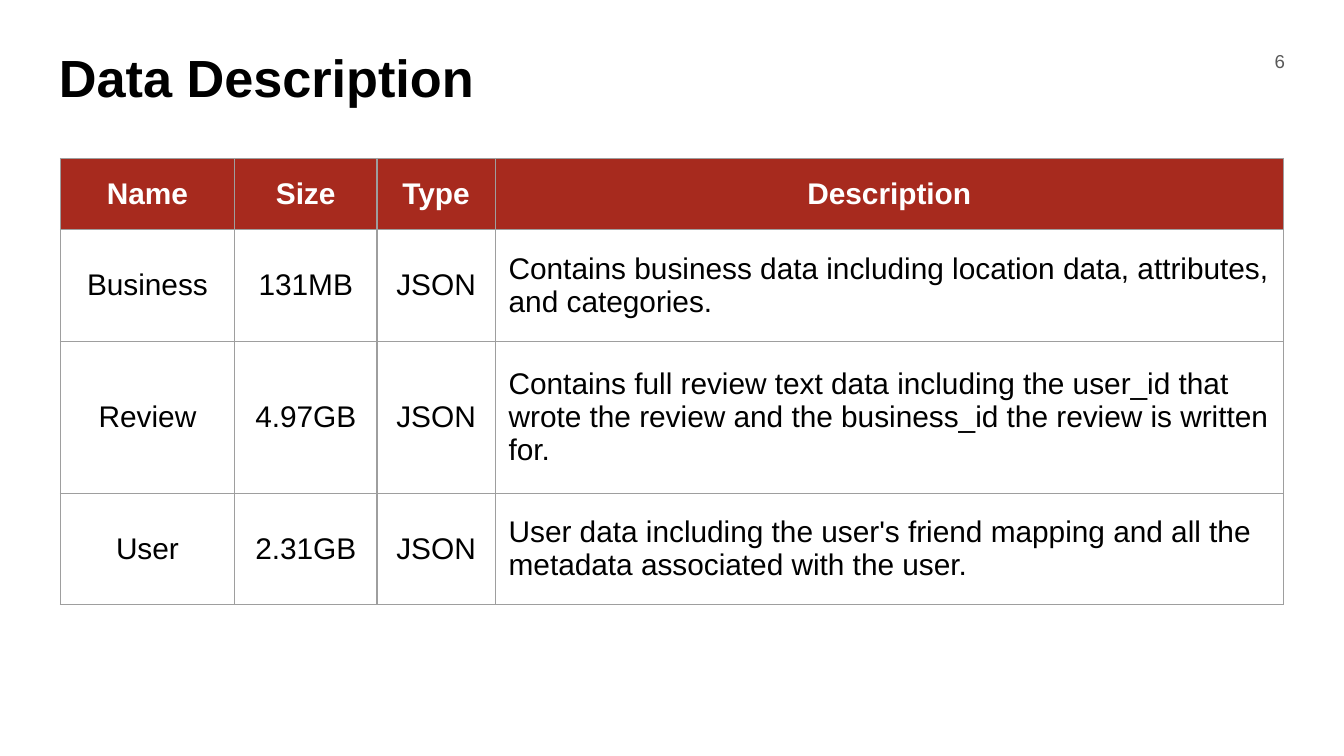
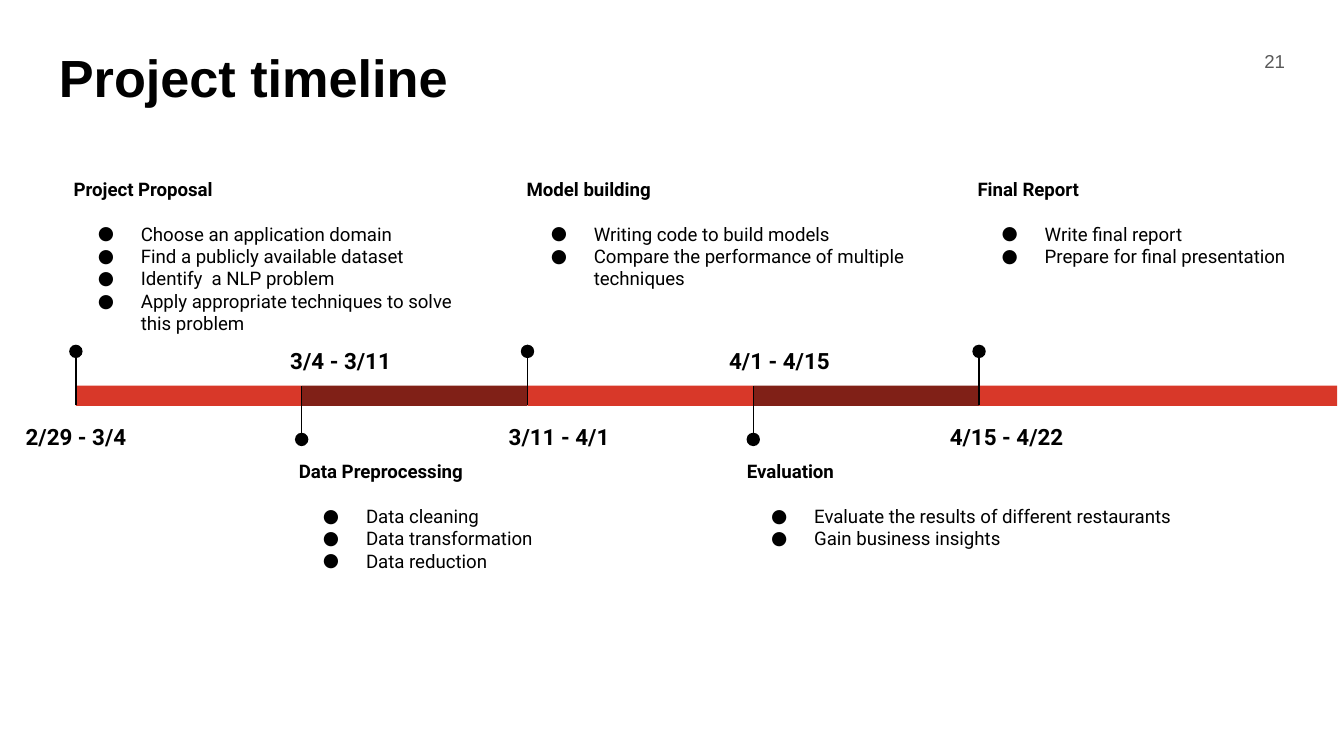
from lxml.etree import SubElement
from pptx import Presentation
from pptx.dml.color import RGBColor
from pptx.enum.shapes import MSO_CONNECTOR, MSO_SHAPE
from pptx.enum.text import MSO_ANCHOR, PP_ALIGN
from pptx.oxml.ns import qn
from pptx.util import Pt

SCALE = 4572
SIZE = (2000, 1125)
INSET = 20
COLORS = {
    "black": "000000",
    "white": "FFFFFF",
    "gray": "595959",
    "grid": "9E9E9E",
    "head": "A72A1E",
    "light": "D83829",
    "dark": "802017",
}
FONTS = {
    "title": {"name": "Arial", "size": Pt(28), "bold": True},
    "page": {"name": "Arial", "size": Pt(10), "bold": False},
    "head": {"name": "Arial", "size": Pt(16), "bold": True},
    "cell": {"name": "Arial", "size": Pt(16), "bold": False},
    "date": {"name": "Roboto", "size": Pt(12), "bold": True},
    "phase": {"name": "Roboto", "size": Pt(10), "bold": True},
    "task": {"name": "Roboto", "size": Pt(10), "bold": False},
}
MARGINS = {"margin_" + side: INSET * SCALE for side in ("left", "top", "right", "bottom")}
TITLE_BOX = (68, 48, 1864, 126)
PAGE_BOX = (1812, 48, 120, 86)

DATA_BOX = (90, 236, 1820, 664)
COLS = (259, 212, 176, 1173)
ROWS = (106, 166, 226, 166)
DATA = [
    ("Name", "Size", "Type", "Description"),
    ("Business", "131MB", "JSON",
     "Contains business data including location data, attributes, and categories."),
    ("Review", "4.97GB", "JSON",
     "Contains full review text data including the user_id that wrote the review "
     "and the business_id the review is written for."),
    ("User", "2.31GB", "JSON",
     "User data including the user's friend mapping and all the metadata "
     "associated with the user."),
]

TIME_BOX = (113, 245, 1877, 740)
STEP = 336
BAR_TOP, BAR_HIGH = 329, 30
DATE_HIGH = 82
DOT = 20
ABOVE = {"dot": 268, "line": (279, 357), "date": 359, "note": 0}
BELOW = {"dot": 399, "line": (407, 329), "date": 246, "note": 420}
PHASES = [
    {"name": "Project Proposal", "dates": "2/29 - 3/4",
     "date": (-95, 190), "note": (-23, 624, 268),
     "tasks": ["Choose an application domain", "Find a publicly available dataset",
               "Identify  a NLP problem",
               "Apply appropriate techniques to solve this problem"]},
    {"name": "Data Preprocessing", "dates": "3/4 - 3/11",
     "date": (-79, 274), "note": (-24, 614, 320),
     "tasks": ["Data cleaning", "Data transformation", "Data reduction"]},
    {"name": "Model building", "dates": "3/11 - 4/1",
     "date": (-71, 236), "note": (-21, 612, 268),
     "tasks": ["Writing code to build models",
               "Compare the performance of multiple techniques"]},
    {"name": "Evaluation", "dates": "4/1 - 4/15",
     "date": (-82, 242), "note": (-29, 714, 206),
     "tasks": ["Evaluate the results of different restaurants",
               "Gain business insights"]},
    {"name": "Final Report", "dates": "4/15 - 4/22",
     "date": (-81, 244), "note": (-22, 548, 268),
     "tasks": ["Write final report", "Prepare for final presentation"]},
]


def px(*vals):
    return [val * SCALE for val in vals]


def rgb(key):
    return RGBColor.from_string(COLORS[key])


def apply(item, vals):
    for key, val in vals.items():
        setattr(item, key, val)


def write(para, text, font, color="black", **form):
    para.text = text
    apply(para, form)
    apply(para.font, FONTS[font])
    para.font.color.rgb = rgb(color)


def frame(shapes, box, anchor=MSO_ANCHOR.TOP):
    text = shapes.add_textbox(*px(*box)).text_frame
    apply(text, {**MARGINS, "word_wrap": True, "vertical_anchor": anchor})
    return text


def block(shapes, kind, box, color):
    shape = shapes.add_shape(kind, *px(*box))
    shape.shadow.inherit = False
    shape.fill.solid()
    shape.fill.fore_color.rgb = rgb(color)
    shape.line.fill.background()


def stem(shapes, left, top, end):
    line = shapes.add_connector(MSO_CONNECTOR.STRAIGHT, *px(left, top, left, end))
    line.line.color.rgb = rgb("black")
    line.line.width = Pt(0.75)
    SubElement(line._element.spPr, qn("a:effectLst"))


def bullet(para):
    props = para._p.get_or_add_pPr()
    props.set("marL", str(100 * SCALE))
    props.set("indent", str(-64 * SCALE))
    color = SubElement(props, qn("a:buClr"))
    SubElement(color, qn("a:srgbClr"), val=COLORS["black"])
    SubElement(props, qn("a:buFont"), typeface="Roboto")
    SubElement(props, qn("a:buChar"), char="●")


def border(cell):
    props = cell._tc.get_or_add_tcPr()
    for side in ("lnL", "lnR", "lnT", "lnB"):
        line = SubElement(props, qn("a:" + side), w=str(Pt(0.75)))
        fill = SubElement(line, qn("a:solidFill"))
        SubElement(fill, qn("a:srgbClr"), val=COLORS["grid"])


def base(deck, title, page):
    slide = deck.slides.add_slide(deck.slide_layouts[6])
    slide.background.fill.solid()
    slide.background.fill.fore_color.rgb = rgb("white")
    write(frame(slide.shapes, TITLE_BOX).paragraphs[0], title, "title")
    number = frame(slide.shapes, PAGE_BOX, MSO_ANCHOR.MIDDLE)
    write(number.paragraphs[0], page, "page", "gray", alignment=PP_ALIGN.RIGHT)
    return slide.shapes


def grid(shapes, box):
    table = shapes.add_table(len(ROWS), len(COLS), *px(*box)).table
    apply(table, {"first_row": False, "horz_banding": False})
    for col, width in zip(table.columns, px(*COLS)):
        col.width = width
    for row, height in zip(table.rows, px(*ROWS)):
        row.height = height
    for r, row in enumerate(DATA):
        for c, text in enumerate(row):
            cell = table.cell(r, c)
            apply(cell, {**MARGINS, "vertical_anchor": MSO_ANCHOR.MIDDLE})
            border(cell)
            if r == 0:
                cell.fill.solid()
                cell.fill.fore_color.rgb = rgb("head")
            else:
                cell.fill.background()
            font, color = ("cell", "black") if r else ("head", "white")
            side = PP_ALIGN.LEFT if r and c == 3 else PP_ALIGN.CENTER
            write(cell.text_frame.paragraphs[0], text, font, color, alignment=side)


def note(shapes, box, phase):
    text = frame(shapes, box)
    write(text.paragraphs[0], phase["name"], "phase")
    for i, task in enumerate(phase["tasks"]):
        para = text.add_paragraph()
        bullet(para)
        write(para, task, "task", space_before=Pt(0 if i else 11.7))


def stage(shapes, box, phase, place, color):
    left, top, width, _ = box
    block(shapes, MSO_SHAPE.RECTANGLE, (left, top + BAR_TOP, width, BAR_HIGH), color)
    stem(shapes, left, *(top + y for y in place["line"]))
    block(shapes, MSO_SHAPE.OVAL, (left - DOT // 2, top + place["dot"], DOT, DOT), "black")
    shift, wide = phase["date"]
    date = frame(shapes, (left + shift, top + place["date"], wide, DATE_HIGH))
    write(date.paragraphs[0], phase["dates"], "date",
          alignment=PP_ALIGN.CENTER, line_spacing=1.15)
    shift, wide, high = phase["note"]
    note(shapes, (left + shift, top + place["note"], wide, high), phase)


def timeline(shapes, box):
    left, top, width, height = box
    for i, phase in enumerate(PHASES):
        place, color = (BELOW, "dark") if i % 2 else (ABOVE, "light")
        start = i * STEP
        span = width - start if phase is PHASES[-1] else STEP
        group = shapes.add_group_shape().shapes
        stage(group, (left + start, top, span, height), phase, place, color)


def main():
    deck = Presentation()
    deck.slide_width, deck.slide_height = px(*SIZE)
    grid(base(deck, "Data Description", "6"), DATA_BOX)
    timeline(base(deck, "Project timeline", "21"), TIME_BOX)
    deck.save("out.pptx")


if __name__ == "__main__":
    main()
